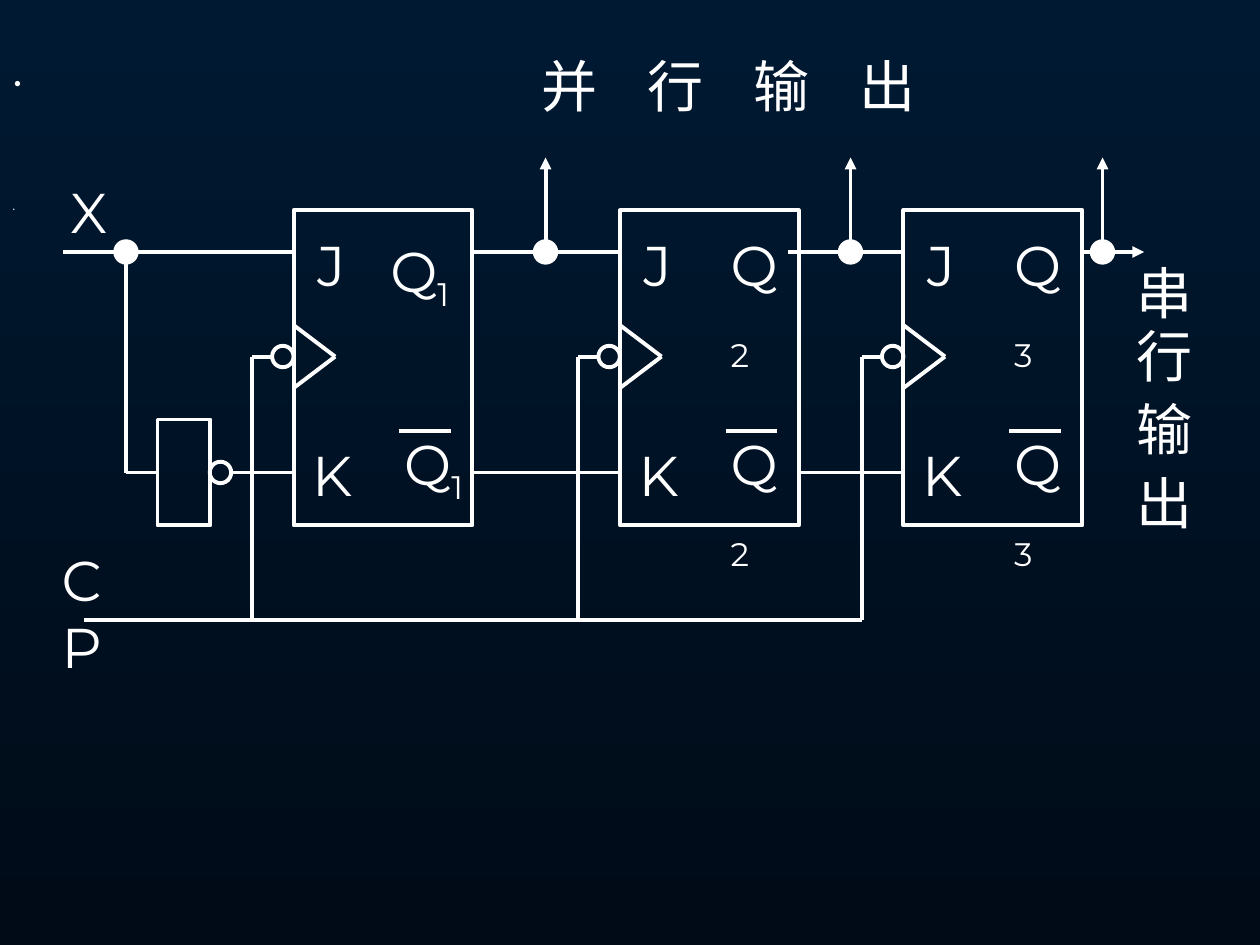
from lxml.etree import SubElement
from pptx import Presentation
from pptx.dml.color import RGBColor
from pptx.enum.shapes import MSO_CONNECTOR as Connector, MSO_SHAPE as Preset
from pptx.enum.text import MSO_ANCHOR as Anchor
from pptx.oxml.ns import qn
from pptx.util import Inches, Pt

WHITE = "FFFFFF"
LINE_WIDTH = Pt(2.25)
STAGE_LEFTS = (2.33, 4.92, 7.17)
STAGE_TOP, STAGE_WIDTH, STAGE_HEIGHT = 1.67, 1.42, 2.5
DATA_Y, INVERTED_Y, CLOCK_Y, BUS_Y = 2, 3.75, 2.83, 4.92
CLOCK_GAP = 0.33
DOT = 0.17


def color(value):
    return RGBColor.from_string(value)


def add_text(slide, left, top, width, height, text, subscript="",
             size=32, text_color=WHITE, anchor=Anchor.TOP, tab_gap=None):
    shape = slide.shapes.add_textbox(Inches(left), Inches(top), Inches(width), Inches(height))
    frame = shape.text_frame
    frame.word_wrap = True
    frame.vertical_anchor = anchor
    paragraph = frame.paragraphs[0]
    if tab_gap:
        tabs = SubElement(paragraph._p.get_or_add_pPr(), qn("a:tabLst"))
        for index in range(1, len(text.split("\t"))):
            SubElement(tabs, qn("a:tab"), pos=str(Inches(tab_gap * index)), algn="l")
    for part, baseline in ((text, None), (subscript, "-25000")):
        if not part:
            continue
        run = paragraph.add_run()
        run.text = part
        run.font.size = Pt(size)
        run.font.name = "Montserrat"
        run.font.color.rgb = color(text_color)
        if baseline:
            run._r.get_or_add_rPr().set("baseline", baseline)


def add_outline(slide, preset, left, top, width, height, fill=None):
    shape = slide.shapes.add_shape(
        preset, Inches(left), Inches(top), Inches(width), Inches(height))
    shape.shadow.inherit = False
    if fill:
        shape.fill.solid()
        shape.fill.fore_color.rgb = color(fill)
    else:
        shape.fill.background()
    shape.line.color.rgb = color(WHITE)
    shape.line.width = LINE_WIDTH
    return shape


def add_dot(slide, center_x, center_y, fill=None):
    add_outline(slide, Preset.OVAL, center_x - DOT / 2, center_y - DOT / 2, DOT, DOT, fill)


def add_wire(slide, x1, y1, x2, y2, arrow=False):
    wire = slide.shapes.add_connector(
        Connector.STRAIGHT, Inches(x1), Inches(y1), Inches(x2), Inches(y2))
    wire.line.color.rgb = color(WHITE)
    wire.line.width = LINE_WIDTH
    if arrow:
        SubElement(wire.line._get_or_add_ln(), qn("a:tailEnd"), type="triangle")
    SubElement(wire._element.spPr, qn("a:effectLst"))
    return wire


def add_background(slide):
    fill = slide.background.fill
    fill.gradient()
    fill.gradient_angle = 270
    for stop, value in zip(fill.gradient_stops, ("001932", "000B17")):
        stop.color.rgb = color(value)


def add_flip_flop(slide, left, top, width, height, number):
    add_outline(slide, Preset.RECTANGLE, left, top, width, height)
    for offset in (-0.25, 0.25):
        add_wire(slide, left, CLOCK_Y + offset, left + CLOCK_GAP, CLOCK_Y)
    add_wire(slide, left - DOT, CLOCK_Y, left - CLOCK_GAP, CLOCK_Y)
    add_wire(slide, left - CLOCK_GAP, CLOCK_Y, left - CLOCK_GAP, BUS_Y)
    add_dot(slide, left - DOT / 2, CLOCK_Y)
    add_text(slide, left + 0.09, top + 0.11, 0.32, 0.64, "J")
    add_text(slide, left + 0.05, top + 1.78, 0.47, 0.64, "K")
    output_box = (0.67, 0.16, 0.83) if number == 1 else (0.78, 0.11, 0.69)
    shift_x, shift_y, output_width = output_box
    add_text(slide, left + shift_x, top + shift_y, output_width, 0.71, "Q", str(number))
    add_text(slide, left + 0.78, top + 1.69, 0.69, 0.71, "Q", str(number))
    add_wire(slide, left + 0.84, top + 1.75, left + 1.25, top + 1.75)


def add_input(slide, left, stage_left):
    node_x = left + 0.5
    add_wire(slide, left, DATA_Y, stage_left, DATA_Y)
    add_wire(slide, node_x, INVERTED_Y, node_x, DATA_Y)
    add_dot(slide, node_x, DATA_Y, WHITE)
    inverter = add_outline(slide, Preset.RECTANGLE, 1.25, 3.33, 0.42, 0.84)
    feed = add_wire(slide, 1.25, INVERTED_Y, node_x, INVERTED_Y)
    feed.begin_connect(inverter, 1)
    add_dot(slide, 1.75, INVERTED_Y)
    add_wire(slide, 1.83, INVERTED_Y, stage_left, INVERTED_Y)
    add_text(slide, 0.46, 1.36, 0.46, 0.64, "X")


def add_clock_bus(slide, left, right):
    add_wire(slide, right, BUS_Y, left, BUS_Y)
    add_text(slide, left - 0.28, BUS_Y - 0.64, 0.75, 0.64, "CP")


def add_outputs(slide):
    add_wire(slide, STAGE_LEFTS[1], DATA_Y, 3.75, DATA_Y)
    add_wire(slide, STAGE_LEFTS[2], DATA_Y, 6.25, DATA_Y)
    for left, following in zip(STAGE_LEFTS, STAGE_LEFTS[1:]):
        add_wire(slide, left + STAGE_WIDTH, INVERTED_Y, following, INVERTED_Y)
    add_wire(slide, STAGE_LEFTS[-1] + STAGE_WIDTH, DATA_Y, 9.08, DATA_Y, arrow=True)
    for tap_x in (4.33, 6.75, 8.75):
        add_wire(slide, tap_x, DATA_Y, tap_x, 1.25, arrow=True)
        add_dot(slide, tap_x, DATA_Y, WHITE)
    add_text(slide, 4.2, 0.36, 3.3, 0.64, "并\t行\t输\t出", tab_gap=0.84)
    for character, top in zip("串行输出", (2, 2.5, 3.08, 3.67)):
        add_text(slide, 8.92, top, 0.64, 0.64, character)


def add_headings(slide):
    add_text(slide, 0, 1.5, 8.5, 0.24, ".", size=8, text_color="CCFFFF", anchor=Anchor.BOTTOM)
    add_text(slide, 0, 0.25, 10, 7.25, ".", size=28)


def main():
    presentation = Presentation()
    presentation.slide_width = Inches(10)
    presentation.slide_height = Inches(7.5)
    slide = presentation.slides.add_slide(presentation.slide_layouts[6])
    add_background(slide)
    add_headings(slide)
    for number, left in enumerate(STAGE_LEFTS, 1):
        add_flip_flop(slide, left, STAGE_TOP, STAGE_WIDTH, STAGE_HEIGHT, number)
    add_input(slide, 0.5, STAGE_LEFTS[0])
    add_clock_bus(slide, 0.67, STAGE_LEFTS[-1] - CLOCK_GAP)
    add_outputs(slide)
    presentation.save("out.pptx")


if __name__ == "__main__":
    main()
